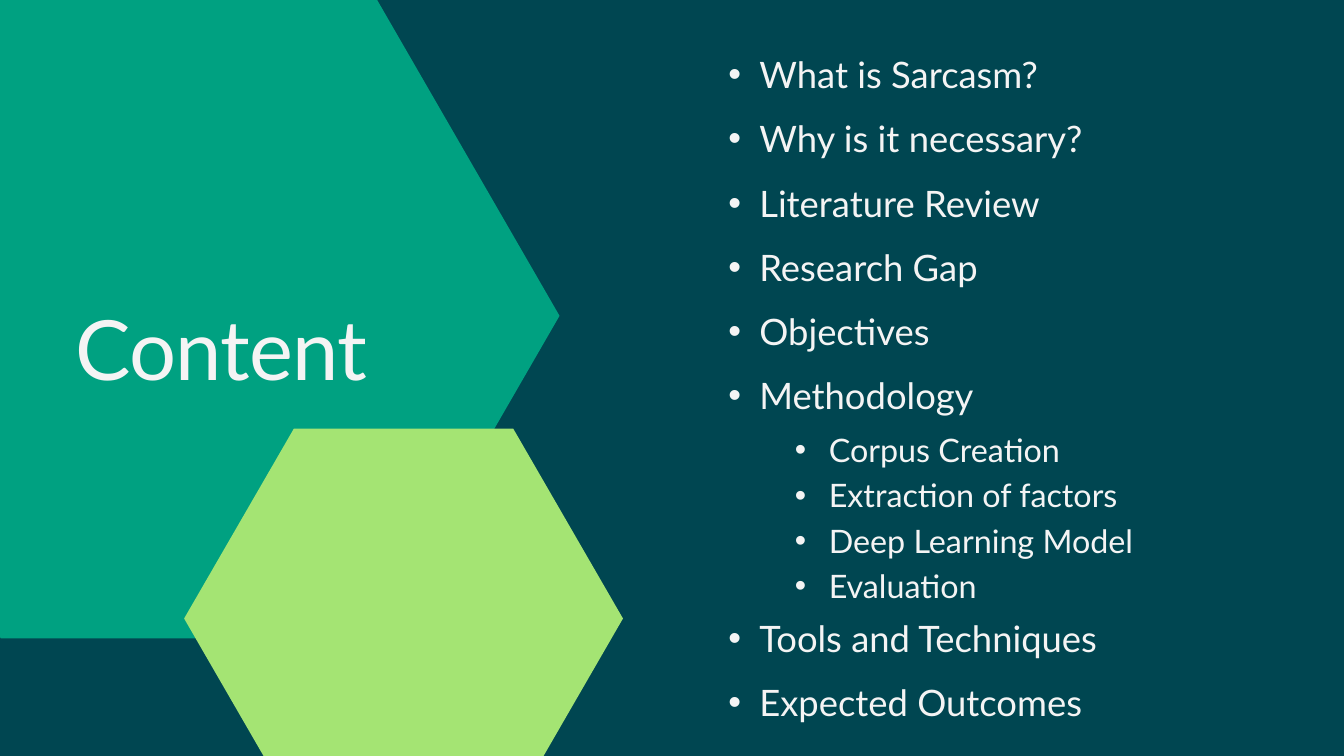
from lxml import etree
from pptx import Presentation
from pptx.dml.color import RGBColor
from pptx.enum.text import MSO_AUTO_SIZE as AutoSize
from pptx.oxml.ns import qn
from pptx.util import Pt

NAVY = RGBColor(0x00, 0x46, 0x51)
GREEN = RGBColor(0x00, 0xA1, 0x81)
LIME = RGBColor(0xA4, 0xE4, 0x73)
WHITE = RGBColor(0xF4, 0xF4, 0xF4)
FONT = "Lato"

TOPICS = ["What is Sarcasm?", "Why is it necessary?", "Literature Review",
          "Research Gap", "Objectives", "Methodology"]
METHODS = ["Corpus Creation", "Extraction of factors",
           "Deep Learning Model", "Evaluation"]
CLOSING = ["Tools and Techniques", "Expected Outcomes"]
ROW_PITCH = 68.8
ROW_HEIGHT = 52


def add_hexagon(slide, x, y, w, h, color):
    corners = [(1, 0.5), (0.75, 1), (0.25, 1), (0, 0.5), (0.25, 0), (0.75, 0)]
    points = [(Pt(x + w * fx), Pt(y + h * fy)) for fx, fy in corners]
    builder = slide.shapes.build_freeform(*points[0])
    builder.add_line_segments(points[1:], close=True)
    sp = builder.convert_to_shape()
    sp.shadow.inherit = False
    sp.fill.solid()
    sp.fill.fore_color.rgb = color
    sp.line.fill.background()


def set_bullet(p, margin, hanging):
    p.level = 1
    pPr = p._p.get_or_add_pPr()
    pPr.set("marL", str(Pt(margin)))
    pPr.set("indent", str(-Pt(hanging)))
    etree.SubElement(pPr, qn("a:buFont")).set("typeface", "Arial")
    etree.SubElement(pPr, qn("a:buChar")).set("char", "•")


def add_text(slide, lines, x, y, w, h, *, size, leading, bullet=None, tracking=0):
    """Write one paragraph per line; bullet is (margin, hanging) in points."""
    tf = slide.shapes.add_textbox(Pt(x), Pt(y), Pt(w), Pt(h)).text_frame
    tf.margin_left = tf.margin_top = tf.margin_right = tf.margin_bottom = 0
    tf.word_wrap = True
    tf.auto_size = AutoSize.SHAPE_TO_FIT_TEXT
    for i, line in enumerate(lines):
        p = tf.add_paragraph() if i else tf.paragraphs[0]
        p.line_spacing = Pt(leading)
        if bullet:
            set_bullet(p, *bullet)
        r = p.add_run()
        r.text = line
        r.font.name = FONT
        r.font.size = Pt(size)
        r.font.color.rgb = WHITE
        if tracking:
            r.font._element.set("spc", str(round(tracking * 100)))


def add_topics(slide, topics, x, y, w):
    for i, topic in enumerate(topics):
        add_text(slide, [topic], x, y + i * ROW_PITCH, w, ROW_HEIGHT,
                 size=39, leading=54.6, bullet=(66.2, 33.1))


def add_title_panel(slide, x, y, w, h):
    add_hexagon(slide, x, y, w, h, GREEN)
    add_hexagon(slide, x + 396, y + 466.5, 470.2, 406.8, LIME)
    add_text(slide, ["Content"], x + 279.4, y + 326.2, 351.4, 106.8,
             size=89, leading=106.8, tracking=-0.9)


def add_agenda(slide, x, y, w):
    add_topics(slide, TOPICS, x, y, w)
    add_topics(slide, CLOSING, x, y + 604.2, w)
    add_text(slide, METHODS, x + 74.9, y + 406, w, 190,
             size=34.6, leading=48.4, bullet=(65.7, 36.2))


def main():
    prs = Presentation()
    prs.slide_width, prs.slide_height = Pt(1440), Pt(810)
    slide = prs.slides.add_slide(prs.slide_layouts[6])
    slide.background.fill.solid()
    slide.background.fill.fore_color.rgb = NAVY
    add_title_panel(slide, -198.7, -7.2, 798.2, 691.2)
    add_agenda(slide, 747.4, 48.3, 535)
    prs.save("out.pptx")


if __name__ == "__main__":
    main()
